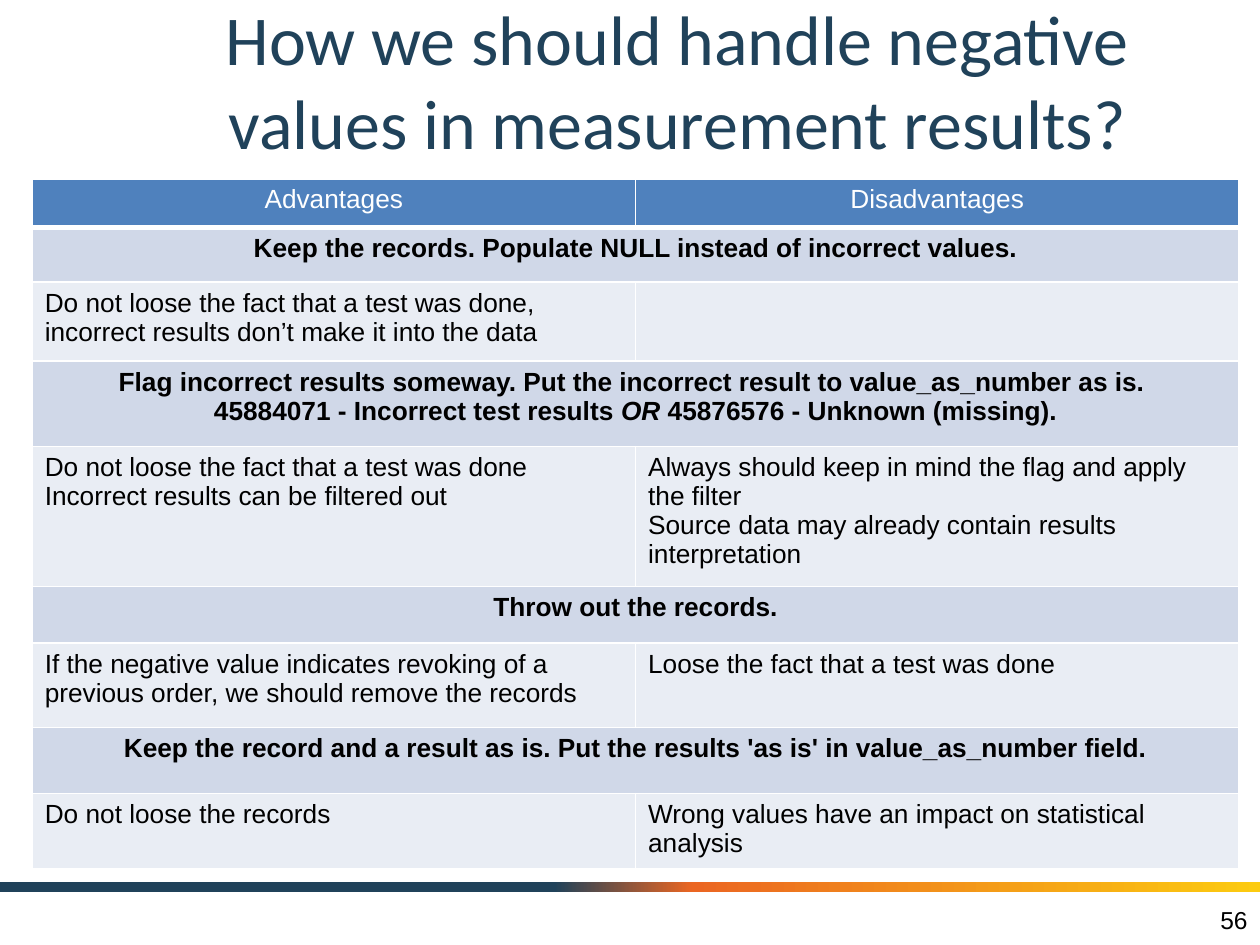
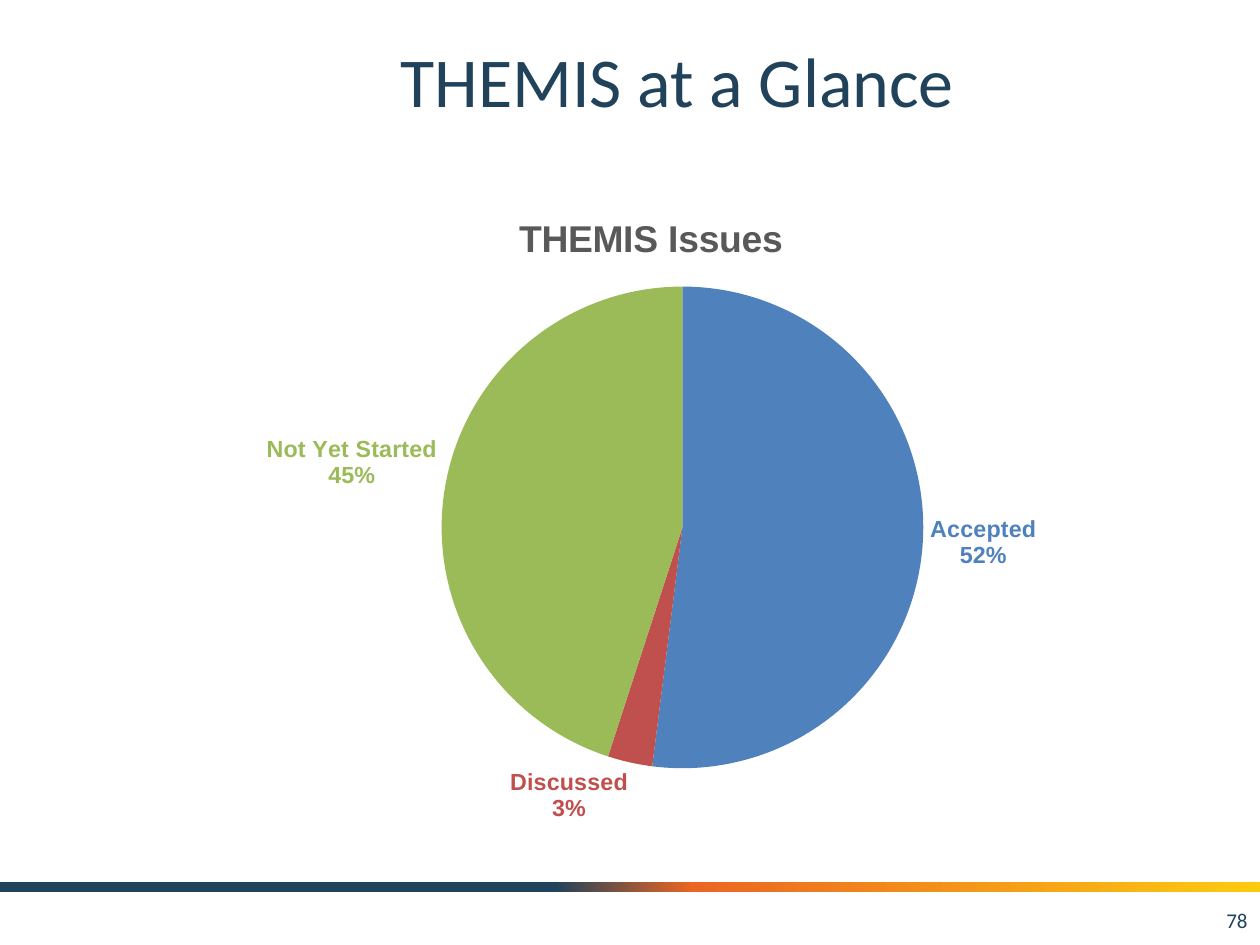
from lxml.etree import SubElement
from pptx import Presentation
from pptx.chart.data import CategoryChartData
from pptx.dml.color import RGBColor
from pptx.enum.chart import XL_CHART_TYPE, XL_LABEL_POSITION
from pptx.enum.shapes import MSO_SHAPE
from pptx.enum.text import MSO_ANCHOR, PP_ALIGN
from pptx.oxml.ns import qn
from pptx.util import Pt

# Shared look
NAVY, WHITE, BLACK, GREY = "20425A", "FFFFFF", "000000", "595959"
BLUE, RED, GREEN = "4F81BD", "C0504D", "9BBB59"
SECTION_FILL, DETAIL_FILL = "D0D8E8", "E9EDF4"
BAND_STOPS = [(0, NAVY), (44, NAVY), (55, "EB6622"), (100, "FCCB10")]
TITLE_FONT = {"name": "Calibri", "size": Pt(40), "color": NAVY}
CELL_FONT = {"name": "Arial", "size": Pt(15), "bold": False, "color": BLACK}
HEADER_FONT = {**CELL_FONT, "color": WHITE}
SECTION_FONT = {**CELL_FONT, "bold": True}

# Table content: one text run is a section heading, two cells are a detail row
HEADERS = ("Advantages", "Disadvantages")
SECTIONS = [
    ([("Keep the records. Populate NULL instead of incorrect values.", False)],
     ("Do not loose the fact that a test was done, incorrect results don’t make it into the data", "")),
    ([("Flag incorrect results someway. Put the incorrect result to value_as_number as is. \n"
       "45884071 - Incorrect test results ", False),
      ("OR", True),
      (" 45876576 - Unknown (missing).", False)],
     ("Do not loose the fact that a test was done\nIncorrect results can be filtered out",
      "Always should keep in mind the flag and apply the filter \n"
      "Source data may already contain results interpretation")),
    ([("Throw out the records.", False)],
     ("If the negative value indicates revoking of a previous order, we should remove the records",
      "Loose the fact that a test was done")),
    ([("Keep the record and a result as is. Put the results 'as is' in value_as_number field.", False)],
     ("Do not loose the records", "Wrong values have an impact on statistical analysis")),
]
ROW_HEIGHTS = [28, 31, 45.2, 48.8, 80, 32.4, 48.2, 37.6, 43]

# Chart content: category, percent, colour
ISSUES = [("Accepted", 52, BLUE), ("Discussed", 3, RED), ("Not Yet Started", 45, GREEN)]


def color(hex_value):
    return RGBColor.from_string(hex_value)


def format_font(font, values):
    for name, value in values.items():
        if name == "color":
            font.color.rgb = color(value)
        else:
            setattr(font, name, value)


def add_runs(paragraph, text, font_values):
    for index, line in enumerate(text.split("\n")):
        if index:
            paragraph.add_line_break()
        run = paragraph.add_run()
        run.text = line
        format_font(run.font, font_values)


# Parts found on every slide
def add_text(slide, text, box, alignment, font_values, vertical_margin):
    frame = slide.shapes.add_textbox(*map(Pt, box)).text_frame
    settings = {"word_wrap": True, "vertical_anchor": MSO_ANCHOR.MIDDLE,
                "margin_top": Pt(vertical_margin), "margin_bottom": Pt(vertical_margin)}
    for name, value in settings.items():
        setattr(frame, name, value)
    paragraph = frame.paragraphs[0]
    paragraph.alignment = alignment
    add_runs(paragraph, text, font_values)


def add_band(slide):
    band = slide.shapes.add_shape(MSO_SHAPE.RECTANGLE, 0, Pt(504), Pt(720), Pt(5.76))
    band.shadow.inherit = False
    band.line.fill.background()
    band.fill.gradient()
    band.fill.gradient_angle = 0
    stop_list = band.element.xpath(".//a:gsLst")[0]
    for stop in list(stop_list):
        stop_list.remove(stop)
    for position, hex_value in BAND_STOPS:
        stop = SubElement(stop_list, qn("a:gs"), pos=str(position * 1000))
        SubElement(stop, qn("a:srgbClr"), val=hex_value)


def add_base_slide(presentation, title, number, number_font):
    slide = presentation.slides.add_slide(presentation.slide_layouts[6])
    add_band(slide)
    add_text(slide, title, (90, 12.2, 594, 66.2), PP_ALIGN.CENTER, TITLE_FONT, 7.2)
    add_text(slide, number, (552, 511.2, 168, 28.8), PP_ALIGN.RIGHT, number_font, 3.6)
    return slide


# Table
def set_borders(cell, bottom_width):
    properties = cell._tc.get_or_add_tcPr()
    widths = {"a:lnL": 1, "a:lnR": 1, "a:lnT": 1, "a:lnB": bottom_width}
    for index, (side, width) in enumerate(widths.items()):
        line = SubElement(properties, qn(side), w=str(Pt(width)))
        SubElement(SubElement(line, qn("a:solidFill")), qn("a:srgbClr"), val=WHITE)
        properties.insert(index, line)


def fill_cell(cell, runs, fill, font_values, alignment, bottom_width=1):
    cell.fill.solid()
    cell.fill.fore_color.rgb = color(fill)
    set_borders(cell, bottom_width)
    paragraph = cell.text_frame.paragraphs[0]
    paragraph.alignment = alignment
    paragraph.space_before = paragraph.space_after = Pt(6)
    format_font(paragraph.font, font_values)
    for text, italic in runs:
        if text:
            add_runs(paragraph, text, {**font_values, "italic": italic})


def add_options_table(slide):
    frame = slide.shapes.add_table(len(ROW_HEIGHTS), 2, Pt(18.4), Pt(102.2),
                                   Pt(689.6), Pt(sum(ROW_HEIGHTS)))
    table = frame.table
    for row, height in zip(table.rows, ROW_HEIGHTS):
        row.height = Pt(height)
    for column, header in enumerate(HEADERS):
        fill_cell(table.cell(0, column), [(header, False)], BLUE, HEADER_FONT,
                  PP_ALIGN.CENTER, bottom_width=3)
    for index, (heading, details) in enumerate(SECTIONS):
        row = 1 + 2 * index
        table.cell(row, 0).merge(table.cell(row, 1))
        fill_cell(table.cell(row, 0), heading, SECTION_FILL, SECTION_FONT, PP_ALIGN.CENTER)
        for column, detail in enumerate(details):
            fill_cell(table.cell(row + 1, column), [(detail, False)], DETAIL_FILL,
                      CELL_FONT, PP_ALIGN.LEFT)


# Chart
def set_plot_layout(chart, **fractions):
    plot_area = chart._chartSpace.xpath(".//c:plotArea")[0]
    for layout in plot_area.findall(qn("c:layout")):
        plot_area.remove(layout)
    layout = SubElement(plot_area, qn("c:layout"))
    plot_area.insert(0, layout)
    manual = SubElement(layout, qn("c:manualLayout"))
    values = {"layoutTarget": "inner", "xMode": "edge", "yMode": "edge", **fractions}
    for name, value in values.items():
        SubElement(manual, qn(f"c:{name}"), val=str(value))


def label_slice(point, hex_value):
    point.format.fill.solid()
    point.format.fill.fore_color.rgb = color(hex_value)
    label = point.data_label
    format_font(label.font, {"name": "Arial", "size": Pt(13.3), "bold": True, "color": hex_value})
    label.position = XL_LABEL_POSITION.OUTSIDE_END


def add_issues_pie(slide):
    data = CategoryChartData()
    data.categories = [name for name, _, _ in ISSUES]
    data.add_series("THEMIS Issues", [percent for _, percent, _ in ISSUES])
    chart = slide.shapes.add_chart(XL_CHART_TYPE.PIE, Pt(72), Pt(108), Pt(600), Pt(372), data).chart
    format_font(chart.font, {"name": "Arial", "size": Pt(10), "color": BLACK})
    chart.has_legend = False
    chart.has_title = True
    chart.chart_title.include_in_layout = False
    add_runs(chart.chart_title.text_frame.paragraphs[0], "THEMIS Issues",
             {"name": "Arial", "size": Pt(21.3), "bold": True, "color": GREY})
    set_plot_layout(chart, x=0.3, y=0.15, w=0.46, h=0.74)
    plot = chart.plots[0]
    plot.vary_by_categories = True
    for index, (_, _, hex_value) in enumerate(ISSUES):
        label_slice(plot.series[0].points[index], hex_value)
    # Category and percent on two lines
    shown = {"showVal": 0, "showCatName": 1, "showPercent": 1}
    for label in chart._chartSpace.xpath(".//c:dLbl"):
        for name, value in shown.items():
            label.find(qn(f"c:{name}")).set("val", str(value))
        SubElement(label, qn("c:separator")).text = "\n"


def main():
    presentation = Presentation()
    presentation.slide_width, presentation.slide_height = Pt(720), Pt(540)

    slide = add_base_slide(presentation, "How we should handle negative values in measurement results?",
                           "56", {"name": "Arial", "size": Pt(14), "color": BLACK})
    add_options_table(slide)

    slide = add_base_slide(presentation, "THEMIS at a Glance",
                           "78", {"name": "Calibri", "size": Pt(12), "color": NAVY})
    add_issues_pie(slide)

    presentation.save("out.pptx")


if __name__ == "__main__":
    main()
